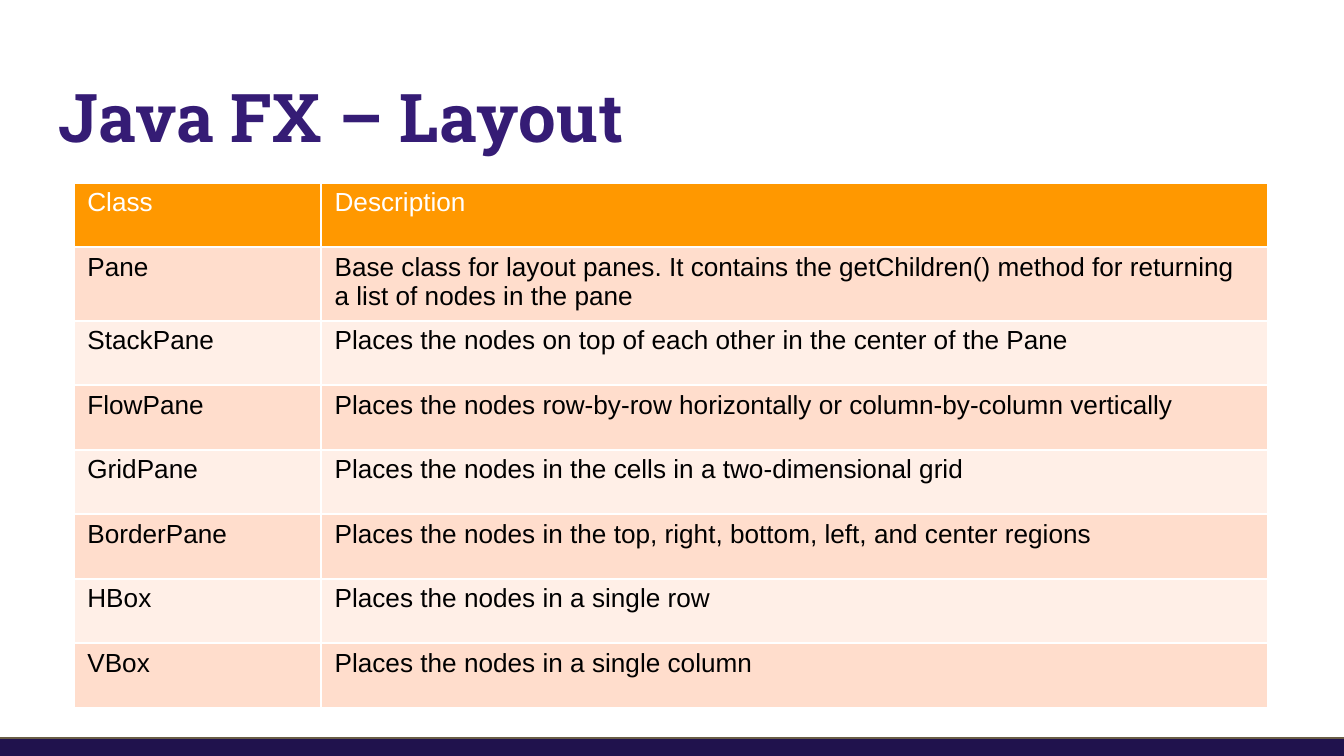
from typing import NamedTuple

from pptx import Presentation
from pptx.dml.color import RGBColor
from pptx.enum.shapes import MSO_SHAPE
from pptx.enum.text import MSO_ANCHOR
from pptx.slide import Slide
from pptx.table import _Cell as Cell
from pptx.text.text import TextFrame
from pptx.util import Inches, Pt

WHITE = RGBColor(0xFF, 0xFF, 0xFF)
BLACK = RGBColor(0x00, 0x00, 0x00)
PURPLE = RGBColor(0x35, 0x1C, 0x75)
NAVY = RGBColor(0x20, 0x12, 0x4D)
BROWN = RGBColor(0x69, 0x5D, 0x46)
ORANGE = RGBColor(0xFF, 0x98, 0x00)
PEACH = RGBColor(0xFF, 0xDD, 0xCC)
CREAM = RGBColor(0xFF, 0xEF, 0xE7)


class Entry(NamedTuple):
    label: str
    detail: str


class Font(NamedTuple):
    name: str
    size: int
    color: RGBColor
    bold: bool = False


HEAD = Entry("Class", "Description")
PANES = [
    Entry("Pane", "Base class for layout panes. It contains the getChildren() "
                  "method for returning a list of nodes in the pane"),
    Entry("StackPane", "Places the nodes on top of each other in the center of the Pane"),
    Entry("FlowPane", "Places the nodes row-by-row horizontally or column-by-column vertically"),
    Entry("GridPane", "Places the nodes in the cells in a two-dimensional grid"),
    Entry("BorderPane", "Places the nodes in the top, right, bottom, left, and center regions"),
    Entry("HBox", "Places the nodes in a single row"),
    Entry("VBox", "Places the nodes in a single column"),
]
WIDTHS = (1.84, 7.04)
HEIGHT = 0.48


def write(frame: TextFrame, text: str, font: Font) -> None:
    run = frame.paragraphs[0].add_run()
    run.text = text
    run.font.name = font.name
    run.font.size = Pt(font.size)
    run.font.bold = font.bold
    run.font.color.rgb = font.color


def add_title(slide: Slide) -> None:
    box = slide.shapes.add_textbox(Inches(0.34), Inches(0.46), Inches(9.32), Inches(0.77))
    frame = box.text_frame
    frame.word_wrap = True
    frame.vertical_anchor = MSO_ANCHOR.TOP
    frame.margin_left = frame.margin_right = Inches(0.1)
    frame.margin_top = frame.margin_bottom = Inches(0.1)
    write(frame, "Java FX – Layout", Font("Roboto Slab", 36, PURPLE, True))


def add_footer(slide: Slide) -> None:
    bar = slide.shapes.add_shape(
        MSO_SHAPE.RECTANGLE, Inches(-0.1), Inches(5.49), Inches(10.12), Inches(0.22))
    bar.shadow.inherit = False
    bar.fill.solid()
    bar.fill.fore_color.rgb = NAVY
    bar.line.color.rgb = BROWN
    bar.line.width = Pt(0.75)


def fill_cell(cell: Cell, text: str, fill: RGBColor, color: RGBColor) -> None:
    cell.fill.solid()
    cell.fill.fore_color.rgb = fill
    cell.margin_top = cell.margin_bottom = Inches(0.04)
    write(cell.text_frame, text, Font("Arial", 14, color))


def add_grid(slide: Slide) -> None:
    rows = [HEAD, *PANES]
    table = slide.shapes.add_table(
        len(rows), len(WIDTHS), Inches(0.55), Inches(1.36),
        Inches(sum(WIDTHS)), Inches(HEIGHT * len(rows))).table
    for column, width in zip(table.columns, WIDTHS):
        column.width = Inches(width)
    for index, entry in enumerate(rows):
        table.rows[index].height = Inches(HEIGHT)
        band = PEACH if index % 2 else CREAM
        fill, color = (band, BLACK) if index else (ORANGE, WHITE)
        for cell, text in zip(table.rows[index].cells, entry):
            fill_cell(cell, text, fill, color)


def main() -> None:
    deck = Presentation()
    deck.slide_width = Inches(10)
    deck.slide_height = Inches(10 * 9 / 16)
    slide = deck.slides.add_slide(deck.slide_layouts[6])
    add_title(slide)
    add_footer(slide)
    add_grid(slide)
    deck.save("out.pptx")


if __name__ == "__main__":
    main()
